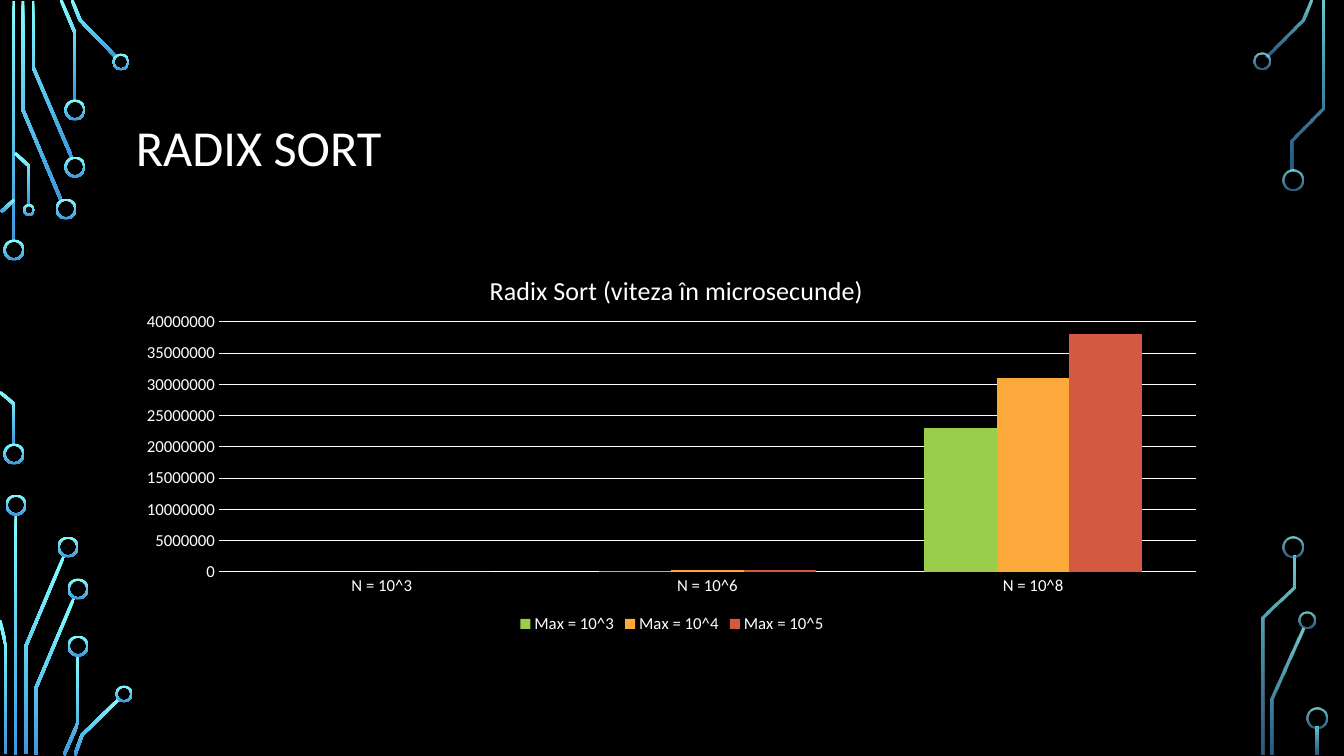
from math import hypot

from lxml import etree
from pptx import Presentation
from pptx.chart.data import CategoryChartData
from pptx.dml.color import RGBColor
from pptx.enum.chart import XL_CHART_TYPE, XL_LEGEND_POSITION, XL_TICK_MARK
from pptx.enum.shapes import MSO_SHAPE
from pptx.enum.text import MSO_ANCHOR
from pptx.oxml.ns import qn
from pptx.util import Pt

# Content
TITLE = "RADIX SORT"
CHART_TITLE = "Radix Sort (viteza în microsecunde)"
CATEGORIES = ["N = 10^3", "N = 10^6", "N = 10^8"]
SERIES = [
    ("Max = 10^3", (0, 200000, 23000000), RGBColor(0x9A, 0xCD, 0x4C)),
    ("Max = 10^4", (0, 300000, 31000000), RGBColor(0xFA, 0xA9, 0x3A)),
    ("Max = 10^5", (0, 300000, 38000000), RGBColor(0xD3, 0x59, 0x40)),
]

# Circuit decoration: traces are centre lines, rings are (centre x, centre y, diameter)
LEFT_TRACES = [
    [(14, 1), (14, 241)],
    [(23, 1), (23, 110), (61, 200)],
    [(33, 1), (33, 67), (72, 158)],
    [(61, 0), (75, 33), (75, 101)],
    [(72, 0), (80, 20), (116, 57)],
    [(1, 212), (14, 200)],
    [(0, 392), (14, 404), (14, 444)],
    [(15, 153), (29, 166), (29, 205)],
    [(16, 514), (16, 755)],
    [(26, 754), (26, 646), (64, 556)],
    [(0, 620), (6, 646), (6, 754)],
    [(36, 755), (36, 688), (74, 598)],
    [(64, 755), (78, 723), (78, 655)],
    [(75, 755), (82, 735), (119, 699)],
]
LEFT_RINGS = [
    (14, 250, 21), (14, 454, 21), (66, 209, 21), (75, 167, 21), (75, 110, 21),
    (121, 62, 17), (29, 210, 12), (16, 505, 21), (68, 547, 21), (78, 589, 21),
    (78, 646, 21), (124, 694, 17),
]
RIGHT_TRACES = [
    [(1267, 56), (1303, 20), (1311, 0)],
    [(1272, 755), (1272, 699), (1303, 628)],
    [(1292, 170), (1292, 140), (1323, 108), (1323, 1)],
    [(1263, 755), (1263, 618), (1294, 588), (1294, 556)],
    [(1317, 727), (1317, 755)],
]
RIGHT_RINGS = [
    (1262, 61, 17), (1293, 180, 21), (1307, 620, 17), (1293, 547, 21), (1317, 718, 21),
]

# Layout in px
EMU_PER_PX = 914400 / 100.8
SLIDE_SIZE = (1344, 756)
TITLE_BOX = (126, 69, 1092, 163)
CHART_BOX = (126, 248, 1092, 390)
PLOT_BOX = (219, 322, 977, 250)
CHART_TITLE_AT = (485, 267)
TRACE_WIDTH = 3
RING_WIDTH = 2

FONT = "Calibri"
WHITE = RGBColor(0xFF, 0xFF, 0xFF)
BLACK = RGBColor(0x00, 0x00, 0x00)
CYAN = RGBColor(0x82, 0xFF, 0xFF)
BLUE = RGBColor(0x3D, 0x97, 0xDE)
COLUMNS = XL_CHART_TYPE.COLUMN_CLUSTERED
LEGEND_BOTTOM = XL_LEGEND_POSITION.BOTTOM
NO_TICK = XL_TICK_MARK.NONE
DONUT = MSO_SHAPE.DONUT
MIDDLE = MSO_ANCHOR.MIDDLE


def px(length):
    return round(length * EMU_PER_PX)


def set_font(font, size):
    font.name = FONT
    font.size = Pt(size)
    font.bold = False
    font.color.rgb = WHITE


def write_text(frame, text, size, line_spacing=None):
    para = frame.paragraphs[0]
    para.line_spacing = line_spacing
    span = para.add_run()
    span.text = text
    set_font(span.font, size)


def paint(shape, opacities):
    shape.shadow.inherit = False
    shape.line.fill.background()
    shape.fill.gradient()
    shape.fill.gradient_angle = 270
    for stop, color, position in zip(shape.fill.gradient_stops, (CYAN, BLUE), (0, 1)):
        stop.color.rgb = color
        stop.position = position
    for color, opacity in zip(shape.element.iter(qn("a:srgbClr")), opacities):
        etree.SubElement(color, qn("a:alpha"), val=str(opacity * 1000))


def trace_outline(points):
    """Widen a centre line into a closed band with mitred corners."""
    normals = []
    for (x1, y1), (x2, y2) in zip(points, points[1:]):
        length = hypot(x2 - x1, y2 - y1)
        normals.append(((y1 - y2) / length, (x2 - x1) / length))
    left, right = [], []
    for (x, y), (ax, ay), (bx, by) in zip(points, normals[:1] + normals, normals + normals[-1:]):
        reach = TRACE_WIDTH / 2 / (1 + ax * bx + ay * by)
        dx, dy = (ax + bx) * reach, (ay + by) * reach
        left.append((px(x + dx), px(y + dy)))
        right.append((px(x - dx), px(y - dy)))
    return left + right[::-1]


def draw_circuit(shapes, traces, rings, opacities):
    for points in traces:
        outline = trace_outline(points)
        builder = shapes.build_freeform(*outline[0])
        builder.add_line_segments(outline[1:], close=True)
        paint(builder.convert_to_shape(), opacities)
    for x, y, size in rings:
        ring = shapes.add_shape(DONUT, px(x - size / 2), px(y - size / 2), px(size), px(size))
        ring.adjustments[0] = RING_WIDTH / size
        paint(ring, opacities)


def place_in_chart(part, index, values):
    """Fix a chart part at fractions of the chart box; index is the layout's place in it."""
    for old_layout in part.findall(qn("c:layout")):
        part.remove(old_layout)
    layout = etree.Element(qn("c:layout"))
    part.insert(index, layout)
    manual = etree.SubElement(layout, qn("c:manualLayout"))
    for tag, value in values.items():
        etree.SubElement(manual, qn("c:" + tag), val=str(value))


def edge_position(left, top):
    return {"xMode": "edge", "yMode": "edge",
            "x": (left - CHART_BOX[0]) / CHART_BOX[2], "y": (top - CHART_BOX[1]) / CHART_BOX[3]}


deck = Presentation()
deck.slide_width, deck.slide_height = map(px, SLIDE_SIZE)
page = deck.slides.add_slide(deck.slide_layouts[6])
page.background.fill.solid()
page.background.fill.fore_color.rgb = BLACK

# Circuits, the right side partly transparent
draw_circuit(page.shapes, LEFT_TRACES, LEFT_RINGS, (100, 100))
draw_circuit(page.shapes, RIGHT_TRACES, RIGHT_RINGS, (80, 60))

# Title
title_frame = page.shapes.add_textbox(*map(px, TITLE_BOX)).text_frame
title_frame.word_wrap = True
title_frame.vertical_anchor = MIDDLE
write_text(title_frame, TITLE, 36, line_spacing=0.9)

# Chart
data = CategoryChartData()
data.categories = CATEGORIES
for name, values, color in SERIES:
    data.add_series(name, values)
chart = page.shapes.add_chart(COLUMNS, *map(px, CHART_BOX), data).chart
set_font(chart.font, 12)
write_text(chart.chart_title.text_frame, CHART_TITLE, 18.6)
chart.has_legend = True
chart.legend.position = LEGEND_BOTTOM
chart.legend.include_in_layout = False
set_font(chart.legend.font, 12)
plot = chart.plots[0]
plot.gap_width = 150
plot.overlap = 0
plot.vary_by_categories = False
for series, (name, values, color) in zip(plot.series, SERIES):
    series.format.fill.solid()
    series.format.fill.fore_color.rgb = color

# Axes
for axis in (chart.category_axis, chart.value_axis):
    axis.major_tick_mark = axis.minor_tick_mark = NO_TICK
    axis.format.line.fill.background()
    set_font(axis.tick_labels.font, 12)
value_axis = chart.value_axis
value_axis.minimum_scale, value_axis.maximum_scale = 0, 40000000
value_axis.major_unit = 5000000
value_axis.major_gridlines.format.line.color.rgb = WHITE
value_axis.major_gridlines.format.line.width = Pt(0.75)

# Fixed places of the chart title and the plot
chart_space = chart.element if hasattr(chart, "element") else chart._chartSpace
place_in_chart(next(chart_space.iter(qn("c:title"))), 1, edge_position(*CHART_TITLE_AT))
left, top, width, height = PLOT_BOX
place_in_chart(next(chart_space.iter(qn("c:plotArea"))), 0, {
    "layoutTarget": "inner", **edge_position(left, top),
    "w": width / CHART_BOX[2], "h": height / CHART_BOX[3]})
deck.save("out.pptx")
